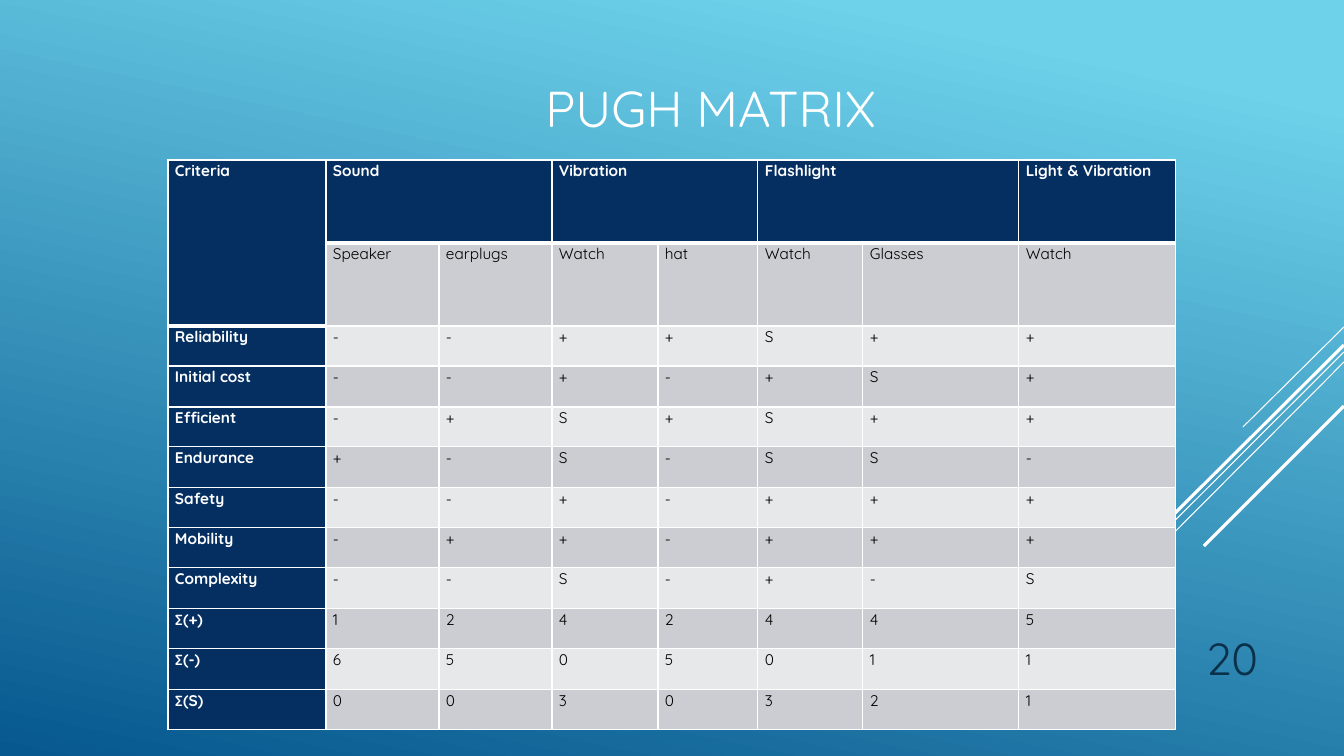
from itertools import accumulate

from lxml.etree import SubElement
from pptx import Presentation
from pptx.dml.color import RGBColor
from pptx.enum.shapes import MSO_CONNECTOR as Connector
from pptx.enum.text import MSO_ANCHOR as Anchor, PP_ALIGN as Align
from pptx.oxml import parse_xml
from pptx.oxml.ns import nsdecls, qn
from pptx.util import Pt

WHITE = RGBColor(0xFF, 0xFF, 0xFF)
BLACK = RGBColor(0x00, 0x00, 0x00)
NAVY = RGBColor(0x05, 0x2F, 0x61)
BAND_DARK = RGBColor(0xCC, 0xCD, 0xD2)
BAND_LIGHT = RGBColor(0xE7, 0xE8, 0xEA)
NUMBER_INK = RGBColor(0x0A, 0x30, 0x4A)
SKY = RGBColor(0x6E, 0xD2, 0xEB)
DEEP = RGBColor(0x06, 0x58, 0x8E)

WIDTH, HEIGHT = 1344, 756
EMU_PER_PX = 914400 / 100.8
BACKDROP = [(0.1, SKY), (1.0, DEEP)]
BACKDROP_ANGLE = 258

RAYS = [
    ((1344, 327), (1243, 427), 0.75),
    ((1344, 352), (1015, 680), 0.75),
    ((1344, 362), (1135, 572), 0.75),
    ((1344, 345), (1151, 537), 2.25),
    ((1344, 406), (1204, 546), 2.25),
]

LABELS = [
    ("PUGH MATRIX", (76, 67, 1269, 80), Anchor.MIDDLE, Align.CENTER,
     {"size": Pt(36), "color": WHITE}),
    ("20", (1142, 615, 126, 74), Anchor.BOTTOM, Align.RIGHT,
     {"size": Pt(32), "color": NUMBER_INK}),
]

CONCEPTS = [
    ("Sound", ["Speaker", "earplugs"]),
    ("Vibration", ["Watch", "hat"]),
    ("Flashlight", ["Watch", "Glasses"]),
    ("Light & Vibration", ["Watch"]),
]
SCORES = [
    ("Reliability", "--++S++"),
    ("Initial cost", "--+-+S+"),
    ("Efficient", "-+S+S++"),
    ("Endurance", "+-S-SS-"),
    ("Safety", "--+-+++"),
    ("Mobility", "-++-+++"),
    ("Complexity", "--S-+-S"),
    ("∑(+)", "1242445"),
    ("∑(-)", "6505011"),
    ("∑(S)", "0030321"),
]
MATRIX_LEFT, MATRIX_TOP = 168, 160
COLUMN_WIDTHS = [158, 113, 113, 106, 100, 105, 156, 157]
HEADER_HEIGHT, SCORES_HEIGHT = 83, 404
SIDE_INSET = 7
HEAD_FONT = {"size": Pt(11), "bold": True, "color": WHITE}
BODY_FONT = {"size": Pt(11), "bold": False, "color": BLACK}


def px(length):
    return round(length * EMU_PER_PX)


def write(frame, text, font_values, **paragraph_values):
    paragraph = frame.paragraphs[0]
    for name, value in paragraph_values.items():
        setattr(paragraph, name, value)
    run = paragraph.add_run()
    run.text = text
    run.font.name = "Quicksand"
    for name, value in font_values.items():
        if name == "color":
            run.font.color.rgb = value
        else:
            setattr(run.font, name, value)


def paint_backdrop(slide):
    fill = slide.background.fill
    fill.gradient()
    fill.gradient_angle = BACKDROP_ANGLE
    for stop, (position, color) in zip(fill.gradient_stops, BACKDROP):
        stop.position = position
        stop.color.rgb = color


def add_ray(slide, start, end, weight):
    ray = slide.shapes.add_connector(Connector.STRAIGHT, *map(px, start + end))
    ray.line.color.rgb = WHITE
    ray.line.width = Pt(weight)
    SubElement(ray._element.spPr, qn("a:effectLst"))


def add_label(slide, text, box, anchor, alignment, font_values):
    frame = slide.shapes.add_textbox(*map(px, box)).text_frame
    frame.word_wrap = True
    frame.vertical_anchor = anchor
    write(frame, text, font_values, alignment=alignment)


def rule_weight(row, column):
    return 3 if row == 0 or (row, column) == (1, 0) else 1


def set_borders(cell, row, column):
    above = rule_weight(row - 1, column) if row else 1
    weights = {"L": 1, "R": 1, "T": above, "B": rule_weight(row, column)}
    properties = cell._tc.get_or_add_tcPr()
    for index, (side, weight) in enumerate(weights.items()):
        properties.insert(index, parse_xml(
            f'<a:ln{side} {nsdecls("a")} w="{Pt(weight)}"><a:solidFill>'
            f'<a:srgbClr val="{WHITE}"/></a:solidFill></a:ln{side}>'))


def add_matrix(slide):
    groups, variants = ["Criteria"], [""]
    for concept, options in CONCEPTS:
        groups += [concept] + [""] * (len(options) - 1)
        variants += options
    grid = [groups, variants] + [[name, *marks] for name, marks in SCORES]

    count = len(SCORES)
    edges = [round(SCORES_HEIGHT * step / count) for step in range(count + 1)]
    heights = [HEADER_HEIGHT] * 2 + [b - a for a, b in zip(edges, edges[1:])]
    box = (MATRIX_LEFT, MATRIX_TOP, sum(COLUMN_WIDTHS), sum(heights))
    matrix = slide.shapes.add_table(
        len(grid), len(COLUMN_WIDTHS), *map(px, box)).table
    for column, width in zip(matrix.columns, COLUMN_WIDTHS):
        column.width = px(width)
    for row, height in zip(matrix.rows, heights):
        row.height = px(height)

    cell_format = {"margin_left": px(SIDE_INSET), "margin_right": px(SIDE_INSET),
                   "margin_top": 0, "margin_bottom": 0}
    for r, texts in enumerate(grid):
        for c, text in enumerate(texts):
            cell = matrix.cell(r, c)
            is_head = r == 0 or c == 0
            for name, value in cell_format.items():
                setattr(cell, name, value)
            cell.fill.solid()
            band = BAND_LIGHT if r % 2 == 0 else BAND_DARK
            cell.fill.fore_color.rgb = NAVY if is_head else band
            set_borders(cell, r, c)
            if text:
                write(cell.text_frame, text, HEAD_FONT if is_head else BODY_FONT,
                      line_spacing=1.07, space_after=Pt(8))

    matrix.cell(0, 0).merge(matrix.cell(1, 0))
    spans = [len(options) for _, options in CONCEPTS]
    for span, end in zip(spans, accumulate(spans)):
        if span > 1:
            matrix.cell(0, end - span + 1).merge(matrix.cell(0, end))


def main():
    deck = Presentation()
    deck.slide_width, deck.slide_height = px(WIDTH), px(HEIGHT)
    slide = deck.slides.add_slide(deck.slide_layouts[6])
    paint_backdrop(slide)
    for ray in RAYS:
        add_ray(slide, *ray)
    add_matrix(slide)
    for label in LABELS:
        add_label(slide, *label)
    deck.save("out.pptx")


if __name__ == "__main__":
    main()
